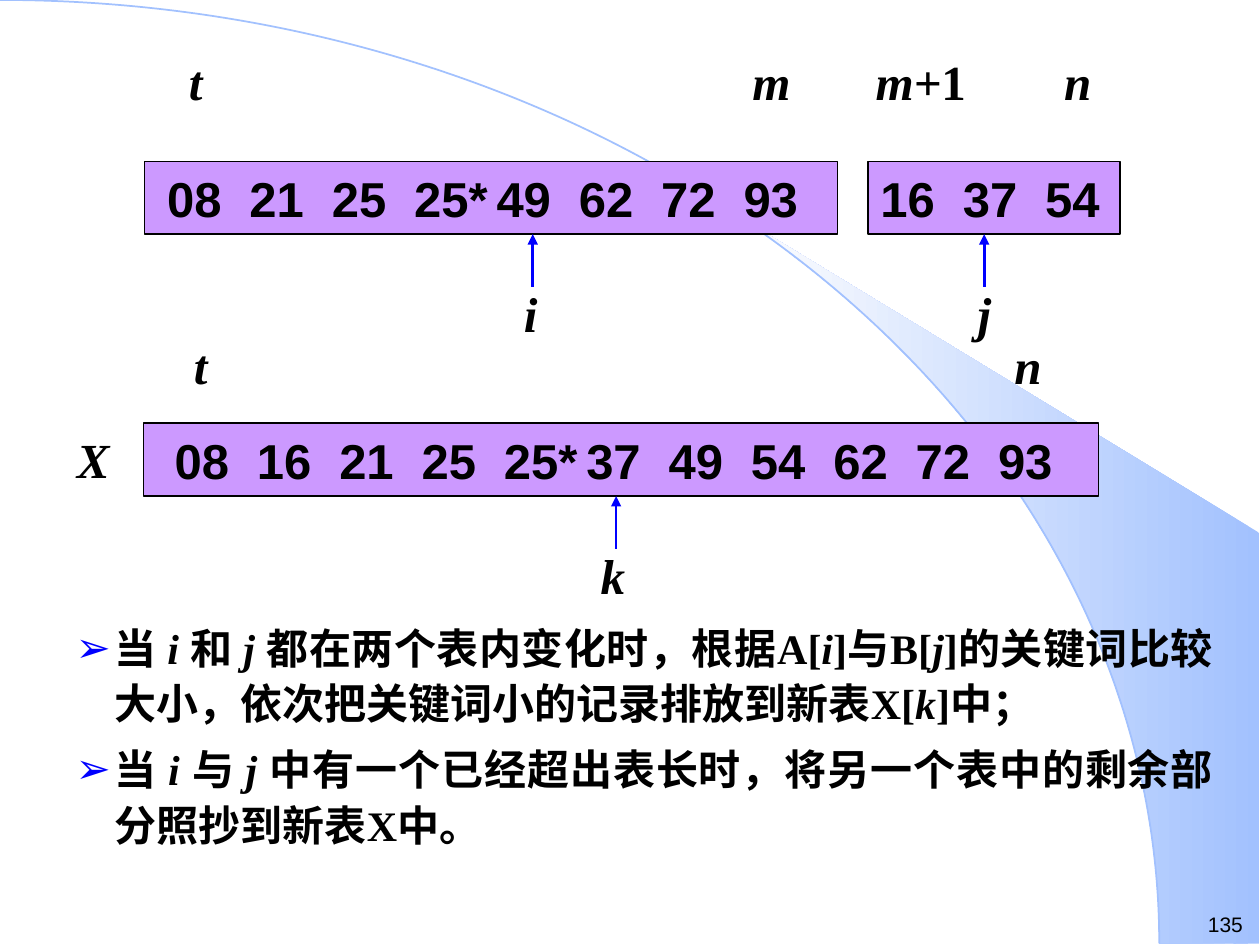
import math

import lxml.etree
import pptx
import pptx.dml.color
import pptx.enum.shapes
import pptx.enum.text
import pptx.oxml
import pptx.oxml.ns
import pptx.util

Cm = pptx.util.Cm
Pt = pptx.util.Pt
RGBColor = pptx.dml.color.RGBColor
qn = pptx.oxml.ns.qn

BLACK = RGBColor(0x00, 0x00, 0x00)
BLUE = RGBColor(0x00, 0x00, 0xFF)
LILAC = RGBColor(0xCC, 0x99, 0xFF)
SKY = RGBColor(0xA2, 0xC1, 0xFE)
NEAR_WHITE = RGBColor(0xFE, 0xFE, 0xFE)

SERIF = "Times New Roman"
SANS = "Arial"
ARC_RX, ARC_RY = 23.37, 19.02
KEY_PITCH = 1.66
ROW_HEIGHT = 1.47


def set_font(paragraph, name, size, bold=True, italic=False):
    font = paragraph.font
    font.name = name
    font.size = Pt(size)
    font.bold = bold
    font.italic = italic
    font.color.rgb = BLACK


def add_backdrop(slide):
    steps = 24
    start = math.radians(39.8)
    angles = [start + (math.pi / 2 - start) * n / steps for n in range(steps + 1)]
    curve = [(Cm(ARC_RX * math.sin(a)), Cm(ARC_RY * (1 - math.cos(a)))) for a in angles]
    builder = slide.shapes.build_freeform(*curve[0])
    builder.add_line_segments(curve[1:] + [(Cm(25.38), Cm(ARC_RY)), (Cm(25.38), Cm(10.74))])
    beam = builder.convert_to_shape()
    beam.shadow.inherit = False
    beam.line.fill.background()
    beam.fill.gradient()
    beam.fill.gradient_angle = 180
    for stop, color in zip(beam.fill.gradient_stops, (SKY, NEAR_WHITE)):
        stop.color.rgb = color

    arc = slide.shapes.add_shape(
        pptx.enum.shapes.MSO_SHAPE.ARC,
        Cm(-ARC_RX), Cm(0), Cm(2 * ARC_RX), Cm(2 * ARC_RY))
    arc.shadow.inherit = False
    arc.fill.background()
    arc.line.color.rgb = SKY
    arc.line.width = Pt(1)


def add_key_row(slide, left, top, width, inset, keys):
    row = slide.shapes.add_shape(
        pptx.enum.shapes.MSO_SHAPE.RECTANGLE,
        Cm(left), Cm(top), Cm(width), Cm(ROW_HEIGHT))
    row.shadow.inherit = False
    row.fill.solid()
    row.fill.fore_color.rgb = LILAC
    row.line.color.rgb = BLACK
    row.line.width = Pt(0.75)
    frame = row.text_frame
    frame.margin_left = Cm(inset)
    frame.margin_right = Cm(0)
    frame.vertical_anchor = pptx.enum.text.MSO_ANCHOR.MIDDLE
    paragraph = frame.paragraphs[0]
    paragraph.text = "\t".join(keys)
    paragraph.alignment = pptx.enum.text.PP_ALIGN.LEFT
    tabs = lxml.etree.SubElement(paragraph._p.get_or_add_pPr(), qn("a:tabLst"))
    for n in range(1, len(keys)):
        lxml.etree.SubElement(tabs, qn("a:tab"), pos=str(Cm(KEY_PITCH * n)), algn="l")
    set_font(paragraph, SANS, 28)


def add_label(slide, left, top, width, name, suffix=""):
    label = slide.shapes.add_textbox(Cm(left), Cm(top), Cm(width), Cm(1.45))
    label.text_frame.word_wrap = False
    paragraph = label.text_frame.paragraphs[0]
    paragraph.add_run().text = name
    set_font(paragraph, SERIF, 28, italic=True)
    if suffix:
        run = paragraph.add_run()
        run.text = suffix
        run.font.italic = False


def add_pointer(slide, x, row_top):
    tip = row_top + ROW_HEIGHT
    pointer = slide.shapes.add_connector(
        pptx.enum.shapes.MSO_CONNECTOR.STRAIGHT,
        Cm(x), Cm(tip + 1.06), Cm(x), Cm(tip))
    pointer.line.color.rgb = BLUE
    pointer.line.width = Pt(1.5)
    lxml.etree.SubElement(pointer.line._get_or_add_ln(), qn("a:tailEnd"), type="triangle")
    lxml.etree.SubElement(pointer._element.spPr, qn("a:effectLst"))


def add_bullet(paragraph):
    properties = paragraph._p.get_or_add_pPr()
    properties.set("marL", str(Cm(2.06)))
    properties.set("indent", str(Cm(-0.79)))
    color = lxml.etree.SubElement(properties, qn("a:buClr"))
    lxml.etree.SubElement(color, qn("a:srgbClr"), val=str(BLUE))
    lxml.etree.SubElement(properties, qn("a:buChar"), char="➢")


def fill_notes(slide, body, notes):
    body.left, body.top, body.width, body.height = Cm(0), Cm(12.32), Cm(24.71), Cm(5.61)
    slide.shapes._spTree.append(body._element)
    frame = body.text_frame
    frame.auto_size = pptx.enum.text.MSO_AUTO_SIZE.NONE
    for n, pieces in enumerate(notes):
        paragraph = frame.add_paragraph() if n else frame.paragraphs[0]
        paragraph.level = 1
        paragraph.alignment = pptx.enum.text.PP_ALIGN.JUSTIFY
        paragraph.line_spacing = 1.1
        paragraph.space_before = Pt(6 if n else 0)
        add_bullet(paragraph)
        set_font(paragraph, SERIF, 24)
        for position, piece in enumerate(pieces):
            run = paragraph.add_run()
            run.text = piece
            run.font.italic = position % 2 == 1


def add_page_number(slide, number):
    box = slide.shapes.add_textbox(Cm(24.1), Cm(18.26), Cm(1.3), Cm(0.76))
    box.text_frame.word_wrap = True
    paragraph = box.text_frame.paragraphs[0]
    paragraph.text = number
    set_font(paragraph, SANS, 12, bold=False)


def main():
    deck = pptx.Presentation()
    deck.slide_width, deck.slide_height = Cm(25.4), Cm(19.05)
    slide = deck.slides.add_slide(deck.slide_layouts[1])
    title, body = slide.placeholders
    title._element.getparent().remove(title._element)

    add_backdrop(slide)
    add_page_number(slide, "135")

    source_top, merged_top = 3.25, 8.53
    add_key_row(slide, 2.92, source_top, 13.97, 0.45,
                ["08", "21", "25", "25*", "49", "62", "72", "93"])
    add_key_row(slide, 17.5, source_top, 5.08, 0.25, ["16", "37", "54"])
    add_key_row(slide, 2.9, merged_top, 19.25, 0.62,
                ["08", "16", "21", "25", "25*", "37", "49", "54", "62", "72", "93"])

    for x, row_top in ((10.74, source_top), (19.84, source_top), (12.42, merged_top)):
        add_pointer(slide, x, row_top)

    for name, left, top, width in (
            ("t", 3.56, 0.91, 0.8), ("m", 14.92, 0.91, 1.3), ("n", 21.2, 0.91, 1.1),
            ("i", 10.31, 5.59, 0.8), ("j", 19.46, 5.59, 0.8),
            ("t", 3.66, 6.63, 0.8), ("n", 20.2, 6.63, 1.1),
            ("k", 11.86, 10.87, 1), ("X", 1.3, 8.53, 1.17)):
        add_label(slide, left, top, width, name)
    add_label(slide, 17.4, 0.91, 2.4, "m+", "1")

    fill_notes(slide, body, [
        ["当 ", "i ", "和 ", "j ", "都在两个表内变化时，根据A[", "i", "]与B[", "j",
         "]的关键词比较大小，依次把关键词小的记录排放到新表X[", "k", "]中；"],
        ["当 ", "i ", "与 ", "j ",
         "中有一个已经超出表长时，将另一个表中的剩余部分照抄到新表X中。"],
    ])
    deck.save("out.pptx")


if __name__ == "__main__":
    main()
